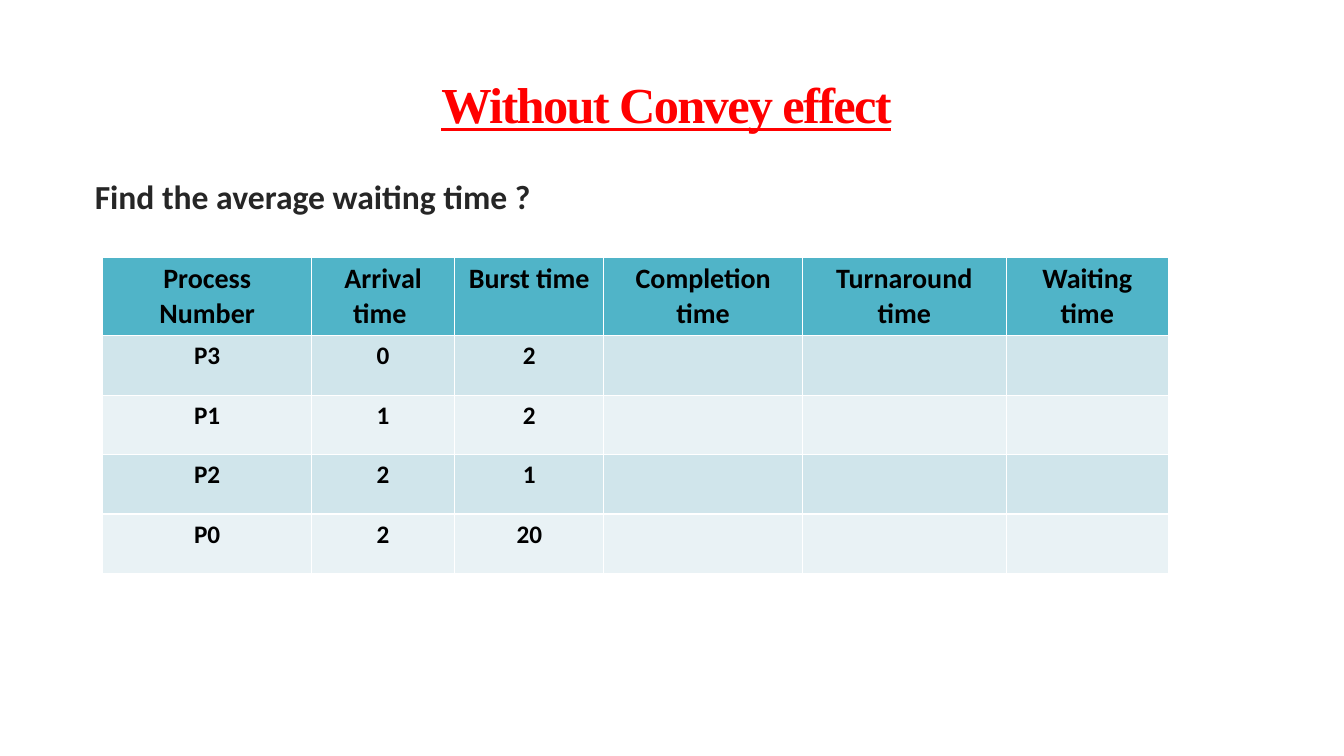
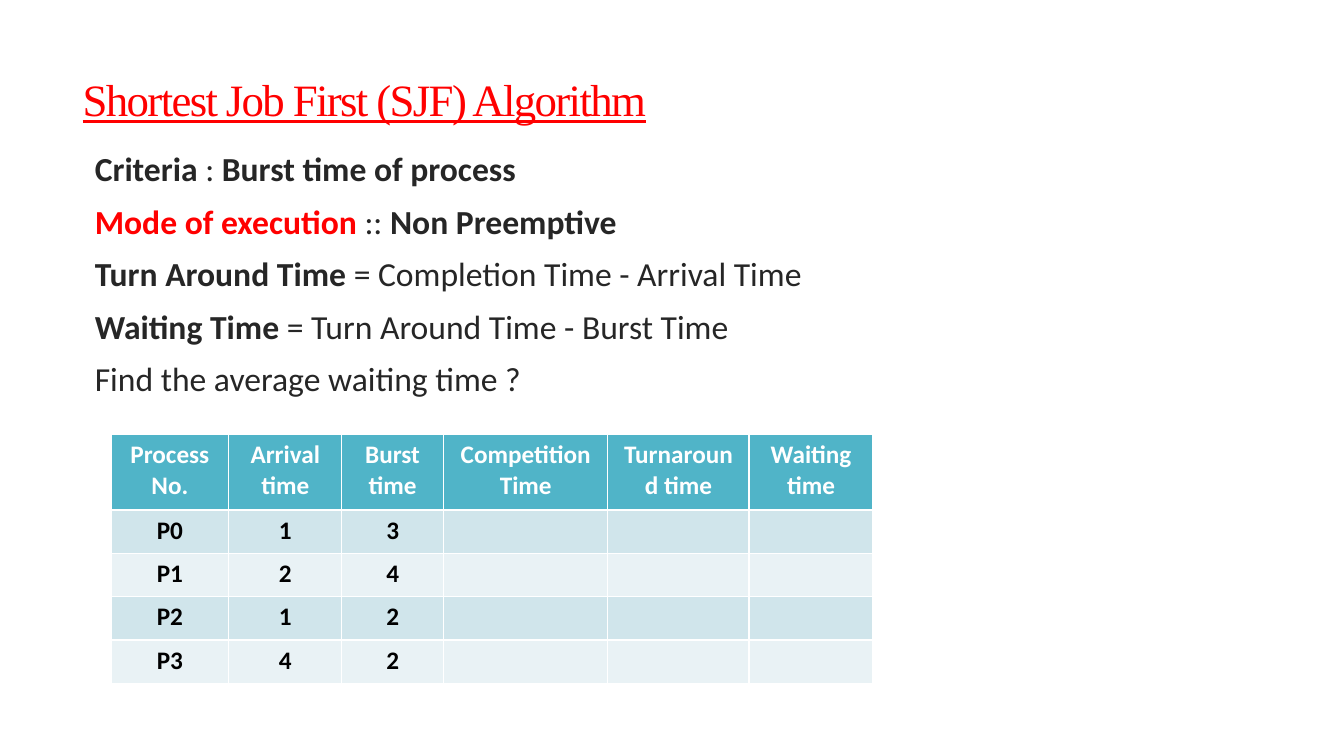
from pptx import Presentation
from pptx.dml.color import RGBColor
from pptx.enum.text import MSO_ANCHOR, MSO_AUTO_SIZE, PP_ALIGN
from pptx.util import Inches, Pt
from pptx.oxml.ns import qn

LEFT, CENTER = PP_ALIGN.LEFT, PP_ALIGN.CENTER
MIDDLE, TOP = MSO_ANCHOR.MIDDLE, MSO_ANCHOR.TOP
NO_AUTOFIT = MSO_AUTO_SIZE.NONE

RED = RGBColor(0xFF, 0x00, 0x00)
INK = RGBColor(0x26, 0x26, 0x26)
BLACK = RGBColor(0x00, 0x00, 0x00)
WHITE = RGBColor(0xFF, 0xFF, 0xFF)
HEADER_FILL = RGBColor(0x50, 0xB4, 0xC8)
BAND_FILLS = (RGBColor(0xD0, 0xE5, 0xEB), RGBColor(0xE9, 0xF2, 0xF5))

TITLE_FONT, BODY_FONT = "Times New Roman", "Calibri"
LINE_SPACING = 0.85
TITLE_TRACKING = "-120"


def place(shape, box):
    """Move a shape to a box of left, top, width and height in inches."""
    shape.left, shape.top, shape.width, shape.height = map(Inches, box)


def add_span(para, text, font, size, color, bold=False):
    """Add one formatted run and return it."""
    span = para.add_run()
    span.text = text
    span.font.name = font
    span.font.size = Pt(size)
    span.font.color.rgb = color
    span.font.bold = bold
    return span


def fill_title(page, box, text, size, align, bold):
    """Write the red underlined title in its placeholder."""
    title = page.shapes.title
    place(title, box)
    frame = title.text_frame
    frame.auto_size = NO_AUTOFIT
    frame.vertical_anchor = MIDDLE
    para = frame.paragraphs[0]
    para.alignment = align
    para.line_spacing = LINE_SPACING
    span = add_span(para, text, TITLE_FONT, size, RED, bold)
    span.font.underline = True
    span._r.get_or_add_rPr().set("spc", TITLE_TRACKING)


def fill_body(page, box, lines):
    """Write lines of (text, bold, color) spans in the body placeholder."""
    body = page.placeholders[1]
    place(body, box)
    frame = body.text_frame
    frame.auto_size = NO_AUTOFIT
    frame.vertical_anchor = TOP
    for index, spans in enumerate(lines):
        para = frame.add_paragraph() if index else frame.paragraphs[0]
        para.line_spacing = LINE_SPACING
        para.space_before = Pt(13)
        props = para._p.get_or_add_pPr()
        props.set("marL", str(Inches(0.1)))
        props.set("indent", "0")
        props.append(props.makeelement(qn("a:buNone"), {}))
        for text, bold, color in spans:
            add_span(para, text, BODY_FONT, 24, color, bold)


def add_process_table(page, corner, widths, heights, headings, processes,
                      header_size, header_color):
    """Add a banded process table whose last three columns stay empty."""
    left, top = corner
    header_height, row_height = heights
    row_heights = [header_height] + [row_height] * len(processes)
    table = page.shapes.add_table(
        len(row_heights), len(widths), Inches(left), Inches(top),
        Inches(sum(widths)), Inches(sum(row_heights))).table
    for column, width in zip(table.columns, widths):
        column.width = Inches(width)
    for row, height in zip(table.rows, row_heights):
        row.height = Inches(height)
    for row_index, texts in enumerate([headings, *processes]):
        is_header = row_index == 0
        fill = HEADER_FILL if is_header else BAND_FILLS[(row_index - 1) % 2]
        size, color = (header_size, header_color) if is_header else (18, BLACK)
        for cell in table.rows[row_index].cells:
            cell.fill.solid()
            cell.fill.fore_color.rgb = fill
        for column_index, text in enumerate(texts):
            para = table.cell(row_index, column_index).text_frame.paragraphs[0]
            para.alignment = CENTER
            add_span(para, text, BODY_FONT, size, color, True)


def build_convoy_page(page):
    """Build the exercise without the convoy effect."""
    fill_title(page, (0.72, 0.55, 11.78, 1.05), "Without Convey effect",
               36, CENTER, True)
    fill_body(page, (0.74, 1.76, 11.76, 4.56),
              [[("Find the average waiting time ?", True, INK)]])
    add_process_table(
        page, (1.02, 2.55), (2.07, 1.42, 1.48, 1.97, 2.02, 1.61), (0.78, 0.59),
        ("Process Number", "Arrival time ", "Burst time", "Completion time",
         "Turnaround time", "Waiting time"),
        (("P3", "0", "2"), ("P1", "1", "2"), ("P2", "2", "1"),
         ("P0", "2", "20")),
        20, BLACK)


def build_sjf_page(page):
    """Build the Shortest Job First rules and exercise."""
    fill_title(page, (0.72, 0.55, 11.78, 0.94),
               "Shortest Job First (SJF) Algorithm", 32, LEFT, False)
    fill_body(page, (0.74, 1.48, 11.76, 5.47), [
        [("Criteria", True, INK), (" : ", False, INK),
         ("Burst time of process", True, INK)],
        [("Mode of execution ", True, RED), (":: ", False, INK),
         ("Non Preemptive", True, INK)],
        [("Turn Around Time ", True, INK),
         ("= Completion Time - Arrival Time", False, INK)],
        [("Waiting Time ", True, INK),
         ("= Turn Around Time - Burst Time", False, INK)],
        [("Find the average waiting time ?", False, INK)],
    ])
    add_process_table(
        page, (1.1, 4.31), (1.17, 1.12, 1.01, 1.63, 1.4, 1.23), (0.75, 0.43),
        ("Process No.", "Arrival time", "Burst time", "Competition Time",
         "Turnaround time", "Waiting time"),
        (("P0", "1", "3"), ("P1", "2", "4"), ("P2", "1", "2"),
         ("P3", "4", "2")),
        18, WHITE)


def main():
    """Build and save the deck."""
    deck = Presentation()
    deck.slide_width, deck.slide_height = Inches(13.33), Inches(7.5)
    for build_page in (build_convoy_page, build_sjf_page):
        build_page(deck.slides.add_slide(deck.slide_layouts[1]))
    deck.save("out.pptx")


if __name__ == "__main__":
    main()
